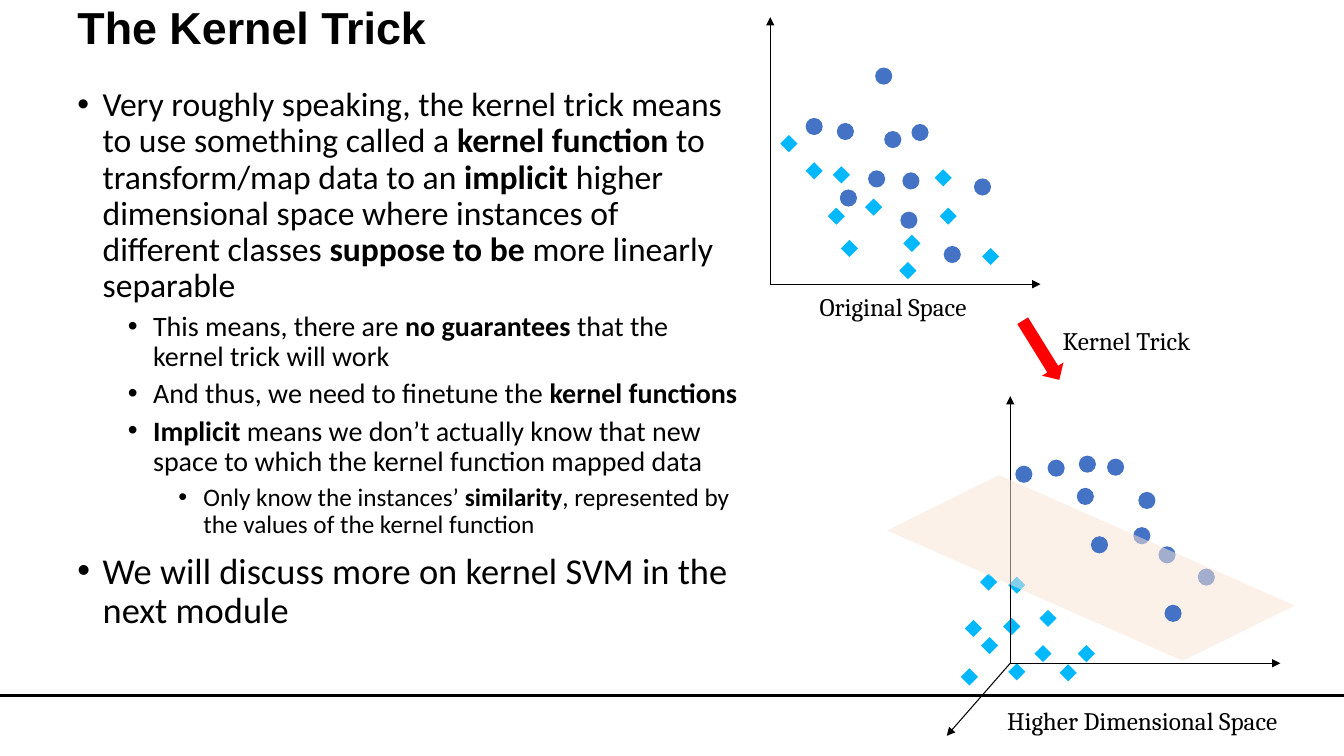
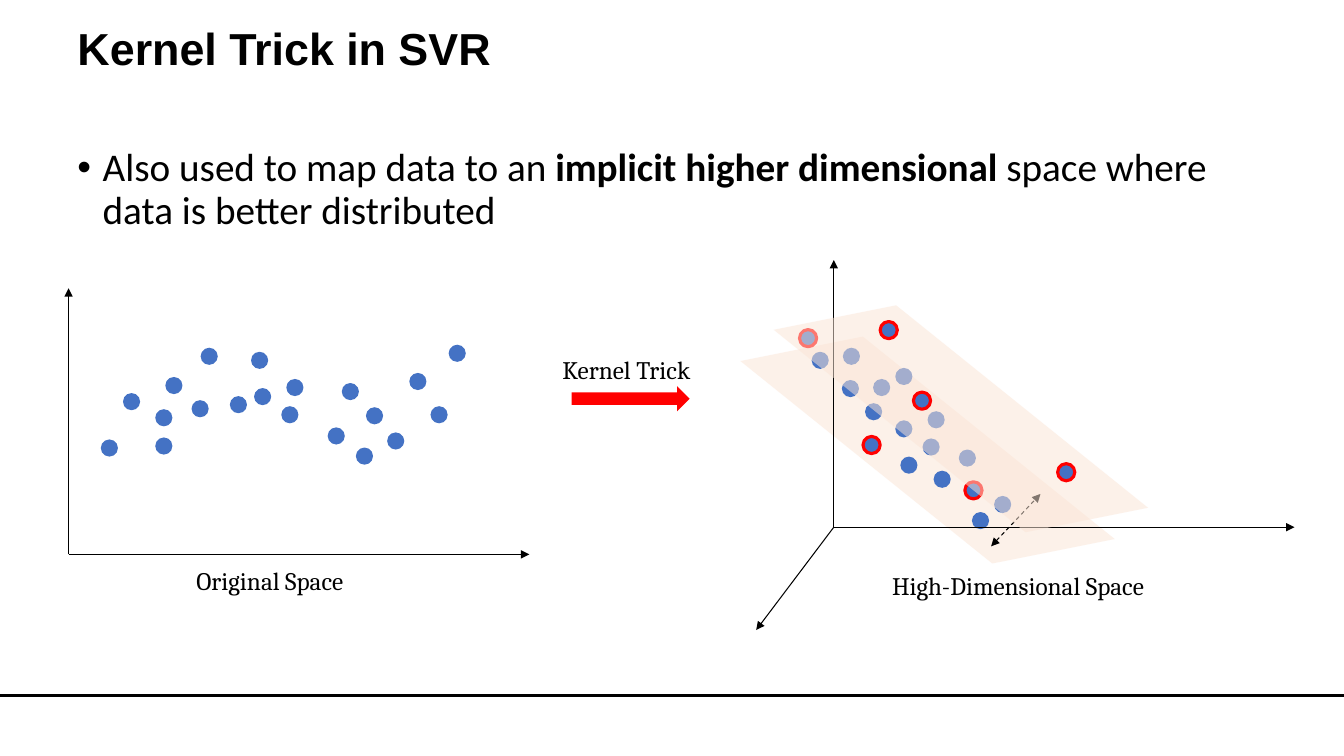
import lxml.etree
import pptx
import pptx.dml.color
import pptx.enum.dml
import pptx.enum.shapes
import pptx.enum.text
import pptx.oxml.ns
import pptx.util

Inches = pptx.util.Inches
Pt = pptx.util.Pt
SHAPES = pptx.enum.shapes.MSO_SHAPE

# Shared style
BLACK, BLUE, CYAN, RED, PEACH = "000000", "4472C4", "00B8FF", "FF0000", "FBE5D6"
TITLE_FONT, BODY_FONT, LABEL_FONT = "Arial", "Calibri", "Cambria"
SLIDE_WIDTH, SLIDE_HEIGHT = 13.33, 7.5
LEFT_MARGIN, FULL_WIDTH = 0.67, 11.99
FOOTER_LINE_TOP = 6.9
MARKER_SIZE = 0.17
PLANE_SIZE, PLANE_SLANT, PLANE_OPACITY = (4, 0.95), 0.836, 52

# Text: (level, size, text), with **bold** parts
KERNEL_POINTS = [
    (0, 24, "Very roughly speaking, the kernel trick means to use something called a "
            "**kernel function** to transform/map data to an **implicit** higher dimensional "
            "space where instances of different classes **suppose to be **more linearly separable"),
    (1, 20, "This means, there are **no guarantees** that the kernel trick will work"),
    (1, 20, "And thus, we need to finetune the **kernel functions**"),
    (1, 20, "**Implicit** means we don’t actually know that new space to which the kernel "
            "function mapped data"),
    (2, 18, "Only know the instances’ **similarity**, represented by the values of the "
            "kernel function"),
    (0, 26, "We will discuss more on kernel SVM in the next module"),
]
SVR_POINTS = [
    (0, 28, "Also used to map data to an **implicit higher dimensional **space where data "
            "is better distributed"),
]

# Data points: (left, top) of each marker
ORIGINAL_DIAMONDS = [
    (7.74, 1.34), (9.74, 2.46), (8.21, 2.06), (8.34, 2.38), (8.58, 1.97), (7.99, 1.61),
    (9.32, 2.06), (9.27, 1.68), (8.96, 2.33), (8.26, 1.65), (8.92, 2.6),
]
ORIGINAL_CIRCLES = [
    (8.3, 1.22), (8.33, 1.88), (8.61, 1.69), (8.95, 1.71), (8.77, 1.3), (8.68, 0.67),
    (8.93, 2.1), (7.99, 1.17), (9.36, 2.44), (9.04, 1.23), (9.66, 1.77),
]
MAPPED_DIAMONDS = [
    (9.57, 6.15), (9.73, 6.32), (9.95, 6.13), (10.26, 6.4), (10.31, 6.05), (9.72, 5.69),
    (9.53, 6.63), (10, 6.58), (10.69, 6.4), (10, 5.72), (10.51, 6.59),
]
MAPPED_CIRCLES_BEHIND = [
    (10.39, 4.56), (10.68, 4.84), (11.24, 5.23), (11.29, 4.88), (10.7, 4.52),
    (10.07, 4.62), (11.88, 5.64), (10.98, 4.55), (11.49, 5.42),
]
MAPPED_CIRCLES_FRONT = [(10.82, 5.32), (11.55, 6)]

SVR_ORIGINAL = [
    (1.54, 4.34), (2.28, 3.93), (1.99, 3.45), (3.53, 4.44), (4.27, 4.03), (1.22, 3.9),
    (3.25, 4.24), (1.64, 3.74), (3.63, 4.04), (1, 4.36), (2.79, 4.03), (2.49, 3.49),
    (1.9, 3.97), (2.52, 3.85), (2.84, 3.76), (1.54, 4.06), (3.84, 4.29), (4.45, 3.42),
    (3.39, 3.8), (4.06, 3.7),
]
SVR_MAPPED = [
    (8.05, 3.49), (8.35, 3.77), (9.86, 4.92), (8.36, 3.45), (8.66, 3.76), (9.15, 4.35),
    (8.58, 4), (8.88, 4.17), (9.2, 4.08), (8.93, 4.53), (9.26, 4.67), (8.88, 3.65),
    (9.51, 4.46), (9.64, 5.08),
]
SUPPORT_VECTORS_BEHIND = [(9.57, 4.78), (7.93, 3.27), (8.56, 4.33)]
SUPPORT_VECTORS_FRONT = [(9.06, 3.89), (10.49, 4.6), (8.73, 3.19)]


def rgb(color):
    return pptx.dml.color.RGBColor.from_string(color)


def add_child(parent, tag, **attributes):
    return lxml.etree.SubElement(parent, pptx.oxml.ns.qn(tag), attributes)


def set_font(paragraph, name, size, bold=False):
    font = paragraph.font
    font.name, font.size, font.bold = name, Pt(size), bold
    font.color.rgb = rgb(BLACK)


def add_frame(slide, box, wrap=True):
    frame = slide.shapes.add_textbox(*map(Inches, box)).text_frame
    frame.word_wrap = wrap
    frame.vertical_anchor = pptx.enum.text.MSO_ANCHOR.TOP
    return frame


def add_body(slide, box, points):
    frame = add_frame(slide, box)
    for index, (level, size, text) in enumerate(points):
        paragraph = frame.add_paragraph() if index else frame.paragraphs[0]
        paragraph.level = level
        paragraph.line_spacing = 0.9
        paragraph.space_before = Pt(5 if level else 10)
        properties = paragraph._p.get_or_add_pPr()
        properties.set("marL", str(Inches(0.25 + 0.5 * level)))
        properties.set("indent", str(Inches(-0.25)))
        add_child(properties, "a:buFont", typeface="Arial")
        add_child(properties, "a:buChar", char="•")
        set_font(paragraph, BODY_FONT, size)
        for part, words in enumerate(text.split("**")):
            if words:
                run = paragraph.add_run()
                run.text = words
                if part % 2:
                    run.font.bold = True


def add_label(slide, box, text):
    paragraph = add_frame(slide, box, wrap=False).paragraphs[0]
    paragraph.text = text
    set_font(paragraph, LABEL_FONT, 18)


def add_line(slide, start, end, width=0.75, heads=("tailEnd",), dashed=False):
    line = slide.shapes.add_connector(
        pptx.enum.shapes.MSO_CONNECTOR.STRAIGHT, *map(Inches, start + end))
    line.line.color.rgb = rgb(BLACK)
    line.line.width = Pt(width)
    if dashed:
        line.line.dash_style = pptx.enum.dml.MSO_LINE.DASH
    for head in heads:
        add_child(line.line._get_or_add_ln(), "a:" + head, type="triangle")
    add_child(line._element.spPr, "a:effectLst")


def add_axes(slide, origin, *ends):
    for end in ends:
        add_line(slide, origin, end)


def add_filled(slide, kind, box, color, rotation=0):
    shape = slide.shapes.add_shape(kind, *map(Inches, box))
    shape.shadow.inherit = False
    shape.fill.solid()
    shape.fill.fore_color.rgb = rgb(color)
    shape.line.fill.background()
    shape.rotation = rotation
    return shape


def add_markers(slide, places, kind=SHAPES.OVAL, color=BLUE, ringed=False):
    for place in places:
        marker = add_filled(slide, kind, place + (MARKER_SIZE, MARKER_SIZE), color)
        if ringed:
            marker.line.color.rgb = rgb(RED)
            marker.line.width = Pt(2.25)


def add_plane(slide, corner, rotation):
    plane = add_filled(slide, SHAPES.PARALLELOGRAM, corner + PLANE_SIZE, PEACH, rotation)
    plane.adjustments[0] = PLANE_SLANT
    tint = plane._element.spPr.find(".//" + pptx.oxml.ns.qn("a:srgbClr"))
    add_child(tint, "a:alpha", val=str(PLANE_OPACITY * 1000))


def add_slide(deck, title, title_top):
    slide = deck.slides.add_slide(deck.slide_layouts[6])
    add_line(slide, (0, FOOTER_LINE_TOP), (SLIDE_WIDTH, FOOTER_LINE_TOP), width=2, heads=())
    paragraph = add_frame(slide, (LEFT_MARGIN, title_top, FULL_WIDTH, 1)).paragraphs[0]
    paragraph.text = title
    paragraph.line_spacing = 0.9
    set_font(paragraph, TITLE_FONT, 32, bold=True)
    return slide


def build_kernel_slide(deck):
    slide = add_slide(deck, "The Kernel Trick", 0.01)
    add_body(slide, (LEFT_MARGIN, 0.82, 6.77, 5.5), KERNEL_POINTS)

    # Original space
    add_markers(slide, ORIGINAL_DIAMONDS, SHAPES.DIAMOND, CYAN)
    add_markers(slide, ORIGINAL_CIRCLES)
    add_axes(slide, (7.64, 2.82), (10.32, 2.82), (7.64, 0.17))

    # Higher dimensional space, split by the plane
    add_markers(slide, MAPPED_DIAMONDS, SHAPES.DIAMOND, CYAN)
    add_markers(slide, MAPPED_CIRCLES_BEHIND)
    add_axes(slide, (10.02, 6.58), (12.7, 6.58), (10.02, 3.93), (9.39, 7.3))
    add_plane(slide, (8.82, 5.16), 23.8)
    add_markers(slide, MAPPED_CIRCLES_FRONT)

    # Mapping arrow and labels
    add_filled(slide, SHAPES.DOWN_ARROW, (10.2, 3.13, 0.25, 0.69), RED, 328.2)
    add_label(slide, (10.44, 3.18, 1.57, 0.4), "Kernel Trick")
    add_label(slide, (8.03, 2.84, 1.84, 0.4), "Original Space")
    add_label(slide, (9.89, 6.95, 3.19, 0.4), "Higher Dimensional Space")


def build_svr_slide(deck):
    slide = add_slide(deck, "Kernel Trick in SVR", 0.22)
    add_body(slide, (LEFT_MARGIN, 1.42, FULL_WIDTH, 4.94), SVR_POINTS)

    # High-dimensional space between two planes
    add_plane(slide, (7.2, 3.99), 38.8)
    add_markers(slide, SUPPORT_VECTORS_BEHIND, ringed=True)
    add_markers(slide, SVR_MAPPED)
    add_axes(slide, (8.27, 5.23), (12.84, 5.23), (8.27, 2.58), (7.5, 6.25))
    add_line(slide, (9.83, 5.42), (10.32, 4.9), heads=("headEnd", "tailEnd"), dashed=True)
    add_plane(slide, (7.53, 3.68), 38.8)
    add_markers(slide, SUPPORT_VECTORS_FRONT, ringed=True)

    # Original space
    add_markers(slide, SVR_ORIGINAL)
    add_axes(slide, (0.68, 5.5), (5.25, 5.5), (0.68, 2.86))

    # Mapping arrow and labels
    add_filled(slide, SHAPES.DOWN_ARROW, (6.13, 3.37, 0.25, 1.17), RED, 270)
    add_label(slide, (1.85, 5.56, 1.84, 0.4), "Original Space")
    add_label(slide, (8.75, 5.61, 3.05, 0.4), "High-Dimensional Space")
    add_label(slide, (5.48, 3.47, 1.57, 0.4), "Kernel Trick")


def main():
    deck = pptx.Presentation()
    deck.slide_width, deck.slide_height = Inches(SLIDE_WIDTH), Inches(SLIDE_HEIGHT)
    build_kernel_slide(deck)
    build_svr_slide(deck)
    deck.save("out.pptx")


if __name__ == "__main__":
    main()
